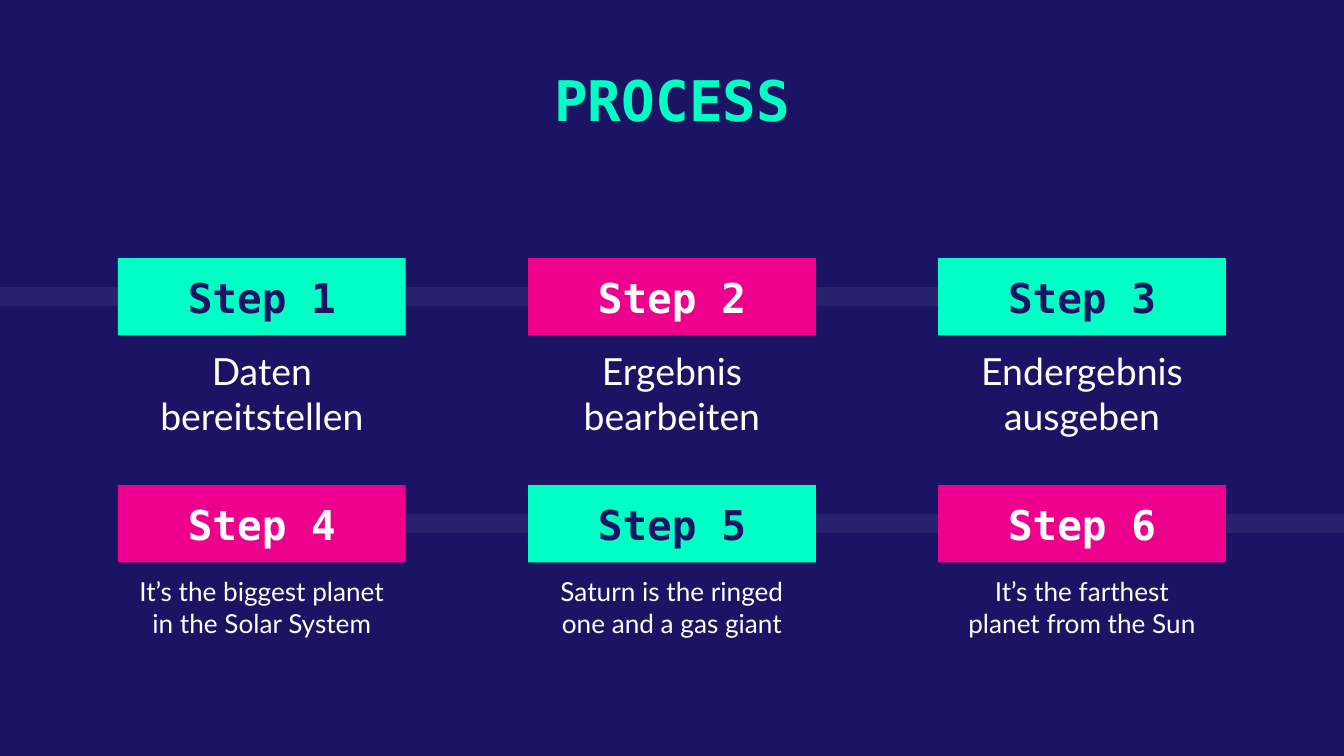
from lxml.etree import SubElement
from pptx import Presentation
from pptx.dml.color import RGBColor
from pptx.enum.shapes import MSO_SHAPE
from pptx.enum.text import MSO_ANCHOR, PP_ALIGN
from pptx.oxml.ns import qn
from pptx.util import Cm, Pt

NAVY, MINT, PINK, WHITE = "1B1464", "00FFC5", "EC008C", "FFFFFF"
MONO, SANS = "DejaVu Sans Mono", "Lato"
WIDE, HIGH = 25.4, 14.29

TITLE = "PROCESS"
ROWS = [
    {"size": 20, "band": (0, 21.64), "texts": [
        "Daten bereitstellen",
        "Ergebnis bearbeiten",
        "Endergebnis ausgeben",
    ]},
    {"size": 14, "band": (2.6, WIDE - 2.6), "texts": [
        "It’s the biggest planet in the Solar System",
        "Saturn is the ringed one and a gas giant",
        "It’s the farthest planet from the Sun",
    ]},
]

TOP, DOWN, STEP = 4.88, 4.29, 7.75
BOX_W, BOX_H = 5.44, 1.46
TEXT_W, TEXT_H = 5.26, 1.85
BAND_H = 0.36


def paint(target, color):
    target.fill.solid()
    target.fill.fore_color.rgb = RGBColor.from_string(color)


def write(shape, text, size=14, font=SANS, color=WHITE, bold=False,
          anchor=MSO_ANCHOR.TOP):
    frame = shape.text_frame
    frame.word_wrap = True
    frame.vertical_anchor = anchor
    frame.margin_left = frame.margin_right = Cm(0.25)
    frame.margin_top = frame.margin_bottom = Cm(0.25)
    para = frame.paragraphs[0]
    para.alignment = PP_ALIGN.CENTER
    run = para.add_run()
    run.text = text
    run.font.size = Pt(size)
    run.font.name = font
    run.font.bold = bold
    run.font.color.rgb = RGBColor.from_string(color)


def block(slide, left, top, width, height, color):
    shape = slide.shapes.add_shape(
        MSO_SHAPE.RECTANGLE, Cm(left), Cm(top), Cm(width), Cm(height))
    shape.shadow.inherit = False
    shape.line.fill.background()
    paint(shape, color)
    return shape


def fade(shape, share):
    tone = shape.fill._xPr.find(".//" + qn("a:srgbClr"))
    SubElement(tone, qn("a:alpha"), val=str(share * 1000))


def main():
    deck = Presentation()
    deck.slide_width, deck.slide_height = Cm(WIDE), Cm(HIGH)
    slide = deck.slides.add_slide(deck.slide_layouts[5])
    paint(slide.background, NAVY)

    for i, row in enumerate(ROWS):
        left, width = row["band"]
        top = TOP + i * DOWN + (BOX_H - BAND_H) / 2
        fade(block(slide, left, top, width, BAND_H, WHITE), 6)

    title = slide.shapes.title
    title.left, title.top = Cm(3.56), Cm(0.94)
    title.width, title.height = Cm(18.29), Cm(1.85)
    write(title, TITLE, size=30, font=MONO, color=MINT, bold=True,
          anchor=MSO_ANCHOR.MIDDLE)

    for i, row in enumerate(ROWS):
        top = TOP + i * DOWN
        for j, text in enumerate(row["texts"]):
            mid = WIDE / 2 + (j - 1) * STEP
            fill, ink = (PINK, WHITE) if (i + j) % 2 else (MINT, NAVY)
            box = block(slide, mid - BOX_W / 2, top, BOX_W, BOX_H, fill)
            write(box, f"Step {i * 3 + j + 1}", size=22, font=MONO,
                  color=ink, bold=True, anchor=MSO_ANCHOR.BOTTOM)
            note = slide.shapes.add_textbox(
                Cm(mid - TEXT_W / 2), Cm(top + BOX_H), Cm(TEXT_W), Cm(TEXT_H))
            write(note, text, size=row["size"])

    deck.save("out.pptx")


if __name__ == "__main__":
    main()
